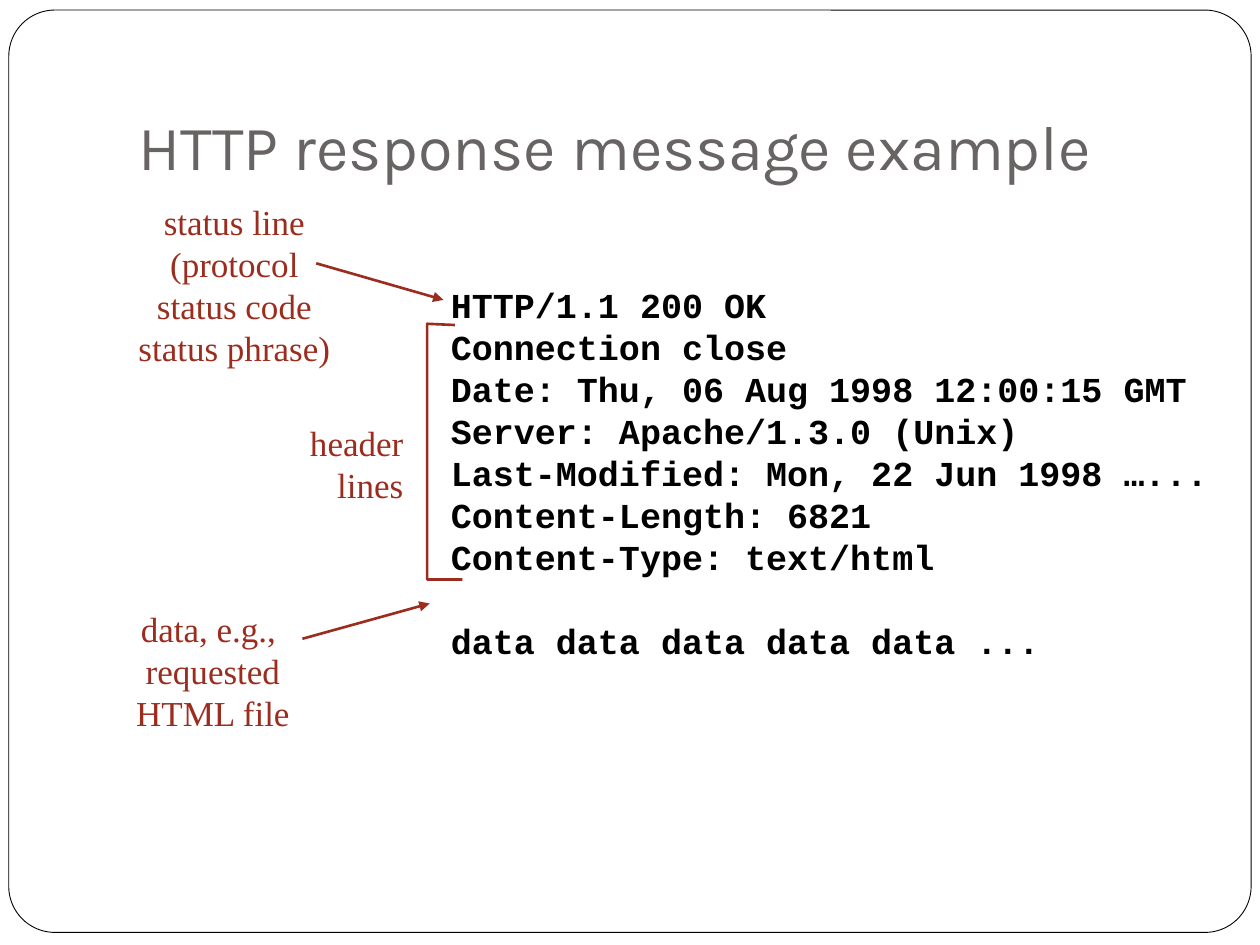
from lxml import etree
from pptx import Presentation
from pptx.dml.color import RGBColor
from pptx.enum.shapes import MSO_CONNECTOR, MSO_SHAPE
from pptx.enum.text import MSO_ANCHOR, PP_ALIGN
from pptx.oxml.ns import qn
from pptx.util import Inches, Pt

LEFT, CENTER, RIGHT = PP_ALIGN.LEFT, PP_ALIGN.CENTER, PP_ALIGN.RIGHT
BOTTOM = MSO_ANCHOR.BOTTOM
STRAIGHT = MSO_CONNECTOR.STRAIGHT
ROUNDED = MSO_SHAPE.ROUNDED_RECTANGLE
TITLE_ONLY = 5
COLUMNS, ROWS = 100, 75
RUST, BLACK, WHITE, GRAY = "9B2D1F", "000000", "FFFFFF", "696464"
TITLE_FONT = {"name": "Karla", "size": Pt(36), "bold": False}
CODE_FONT = {"name": "Courier New", "size": Pt(20), "bold": True}
LABEL_FONT = {"name": "Times New Roman", "size": Pt(20), "bold": False}
LINE_HEIGHT = Pt(24)

HEADERS = [
    "HTTP/1.1 200 OK",
    "Connection close",
    "Date: Thu, 06 Aug 1998 12:00:15 GMT",
    "Server: Apache/1.3.0 (Unix)",
    "Last-Modified: Mon, 22 Jun 1998 …...",
    "Content-Length: 6821",
    "Content-Type: text/html",
]
BODY = "data data data data data ..."


def color(value):
    return RGBColor.from_string(value)


def grid(*units):
    return [Inches(unit / 10) for unit in units]


def style_font(font, values, shade):
    for name, value in values.items():
        setattr(font, name, value)
    font.color.rgb = color(shade)


def style_line(line, shade, width):
    line.color.rgb = color(shade)
    line.width = Pt(width)


def add_frame(page, box):
    frame = page.shapes.add_shape(ROUNDED, *grid(*box))
    frame.adjustments[0] = 0.05
    frame.shadow.inherit = False
    frame.fill.solid()
    frame.fill.fore_color.rgb = color(WHITE)
    style_line(frame.line, BLACK, 0.5)
    page.shapes._spTree.insert(2, frame._element)


def place_title(page, box, words):
    title = page.shapes.title
    title.left, title.top, title.width, title.height = grid(*box)
    text = title.text_frame
    text.text = words
    text.word_wrap = True
    text.vertical_anchor = BOTTOM
    text.margin_bottom = Inches(0.1)
    para = text.paragraphs[0]
    para.alignment = LEFT
    style_font(para.font, TITLE_FONT, GRAY)


def add_lines(page, box, lines, values, shade, alignment):
    text = page.shapes.add_textbox(*grid(*box)).text_frame
    text.word_wrap = True
    text.text = "\n".join(lines)
    for para in text.paragraphs:
        para.alignment = alignment
        para.line_spacing = LINE_HEIGHT
        style_font(para.font, values, shade)
    return text


def add_message(page, box):
    text = add_lines(page, box, HEADERS + [BODY], CODE_FONT, BLACK, LEFT)
    text.paragraphs[-1].space_before = LINE_HEIGHT


def add_arrow(page, start, run):
    end = [place + step for place, step in zip(start, run)]
    arrow = page.shapes.add_connector(STRAIGHT, *grid(*start, *end))
    style_line(arrow.line, RUST, 1.5)
    etree.SubElement(arrow.line._get_or_add_ln(), qn("a:tailEnd"), type="triangle")
    etree.SubElement(arrow._element.spPr, qn("a:effectLst"))


def add_callout(page, box, lines, offset, run):
    add_lines(page, box, lines, LABEL_FONT, RUST, CENTER)
    add_arrow(page, (box[0] + offset[0], box[1] + offset[1]), run)


def add_header_group(page, box, lines, label):
    left, top, width, height = box
    add_lines(page, label, lines, LABEL_FONT, RUST, RIGHT)
    right, bottom = left + width, top + height
    outline = [(left, top), (left, bottom), (right, bottom)]
    builder = page.shapes.build_freeform(*grid(right - 0.6, top + 0.1))
    builder.add_line_segments([grid(*point) for point in outline], close=False)
    bracket = builder.convert_to_shape()
    bracket.shadow.inherit = False
    bracket.fill.background()
    style_line(bracket.line, RUST, 1.5)


def main():
    deck = Presentation()
    deck.slide_width, deck.slide_height = grid(COLUMNS, ROWS)
    page = deck.slides.add_slide(deck.slide_layouts[TITLE_ONLY])
    add_frame(page, (0.7, 0.8, COLUMNS - 1.4, ROWS - 1.8))
    place_title(page, (10, 3, 85, 12.5), "HTTP response message example")
    add_message(page, (34.8, 22, 63.7, 31))
    add_callout(
        page,
        (8.2, 15.4, 20.8, 14.3),
        ["status line", "(protocol", "status code", "status phrase)"],
        (16.9, 5.5),
        (10.1, 2.9),
    )
    add_header_group(
        page, (33.9, 25.7, 2.8, 20.3), ["header", "lines"], (21.9, 33, 11.1, 7.7)
    )
    add_callout(
        page,
        (9.2, 47.7, 15.4, 11),
        ["data, e.g., ", "requested", "HTML file"],
        (14.8, 3),
        (10.1, -2.8),
    )
    deck.save("out.pptx")


if __name__ == "__main__":
    main()
